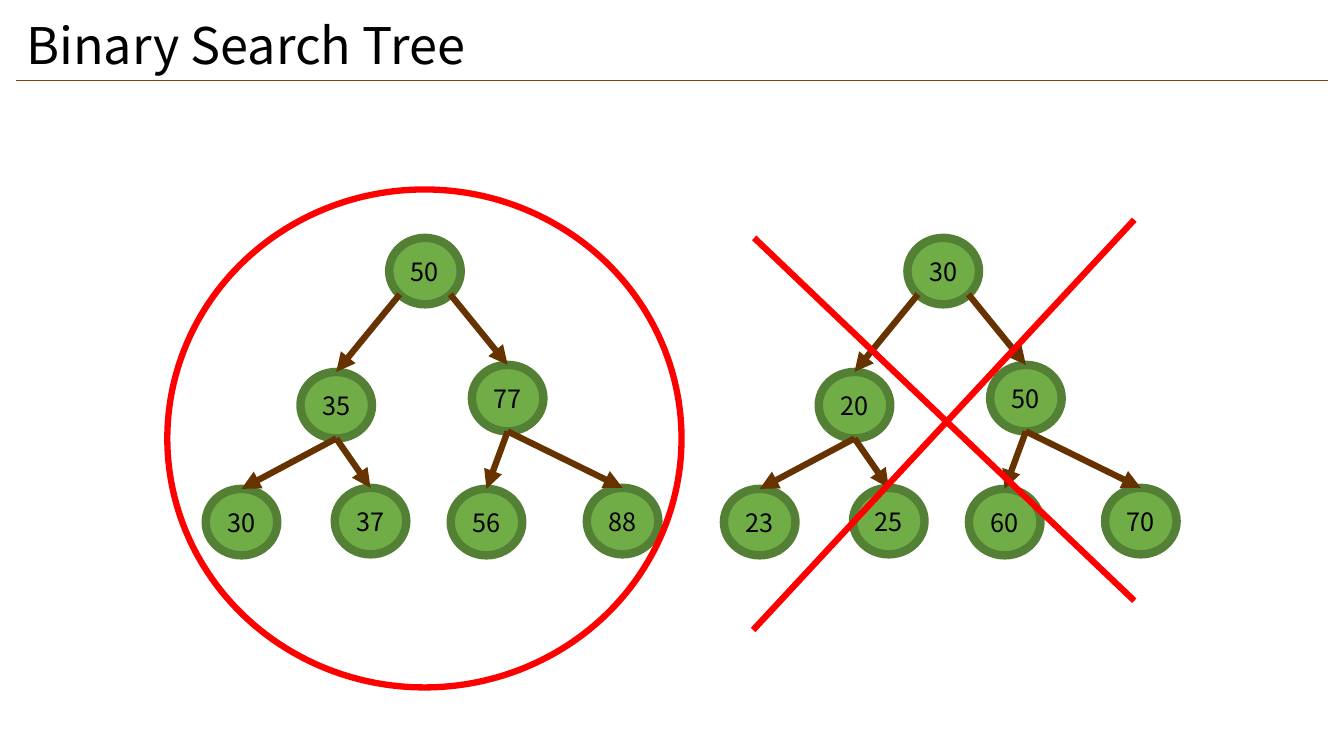
from pptx import Presentation
from pptx.dml.color import RGBColor
from pptx.enum import shapes, text
from pptx.oxml import ns
from pptx.util import Inches, Pt
from lxml import etree

FONT = "Noto Sans CJK KR"
COLORS = {
    "text": "000000",
    "rule": "843C0B",
    "node": "70AD47",
    "node_edge": "538035",
    "arrow": "663300",
    "mark": "FF0000",
}
NODE_WIDTH, NODE_HEIGHT = 0.71, 0.66
TREE_GAP = 5.14

# Left and top of each node in the first tree, level by level
NODE_PLACES = [
    (3.86, 2.36),
    (2.98, 3.69), (4.68, 3.62),
    (2.04, 4.85), (3.32, 4.84), (4.47, 4.85), (5.82, 4.84),
]
TREES = [
    ["50", "35", "77", "30", "37", "56", "88"],
    ["30", "20", "50", "23", "25", "60", "70"],
]


def style_text(paragraph, size):
    font = paragraph.runs[0].font
    font.name = FONT
    font.size = Pt(size)
    font.color.rgb = RGBColor.from_string(COLORS["text"])


def add_line(parent, start, end, color, width, arrow=False):
    """Draw a straight line between two points given in inches."""
    points = [Inches(value) for value in (*start, *end)]
    line = parent.shapes.add_connector(shapes.MSO_CONNECTOR.STRAIGHT, *points)
    line.line.color.rgb = RGBColor.from_string(COLORS[color])
    line.line.width = Pt(width)
    properties = line._element.spPr
    if arrow:
        outline = properties.find(ns.qn("a:ln"))
        etree.SubElement(outline, ns.qn("a:tailEnd"), type="triangle")
    etree.SubElement(properties, ns.qn("a:effectLst"))


presentation = Presentation()
presentation.slide_width = Inches(13.33)
presentation.slide_height = Inches(7.5)
slide = presentation.slides.add_slide(presentation.slide_layouts[6])

# Title and rule
add_line(slide, (0.16, 0.8), (13.17, 0.8), "rule", 0.5)
title = slide.shapes.add_textbox(Inches(0.16), Inches(0.09), Inches(13.02), Inches(0.71))
title.text_frame.word_wrap = True
title.text_frame.text = "Binary Search Tree"
style_text(title.text_frame.paragraphs[0], 36)

# Both trees share one layout
for tree_index, values in enumerate(TREES):
    tree = slide.shapes.add_group_shape()
    places = [(left + tree_index * TREE_GAP, top) for left, top in NODE_PLACES]

    for value, (left, top) in zip(values, places):
        node = tree.shapes.add_shape(
            shapes.MSO_SHAPE.OVAL,
            Inches(left), Inches(top), Inches(NODE_WIDTH), Inches(NODE_HEIGHT),
        )
        node.shadow.inherit = False
        node.fill.solid()
        node.fill.fore_color.rgb = RGBColor.from_string(COLORS["node"])
        node.line.color.rgb = RGBColor.from_string(COLORS["node_edge"])
        node.line.width = Pt(6)
        frame = node.text_frame
        frame.margin_left = frame.margin_right = 0
        frame.vertical_anchor = text.MSO_ANCHOR.MIDDLE
        frame.text = value
        frame.paragraphs[0].alignment = text.PP_ALIGN.CENTER
        style_text(frame.paragraphs[0], 18)

    # The root's arrows leave from its lower sides, the others from the bottom
    for child in range(1, len(places)):
        parent_index = (child - 1) // 2
        left, top = places[parent_index]
        start_x, start_y = left + NODE_WIDTH / 2, top + NODE_HEIGHT
        if parent_index == 0:
            start_x += -0.25 if child == 1 else 0.25
            start_y -= 0.1
        child_left, child_top = places[child]
        end = (child_left + NODE_WIDTH / 2, child_top)
        add_line(tree, (start_x, start_y), end, "arrow", 4.5, arrow=True)

# Circle around the valid tree
circle = slide.shapes.add_shape(
    shapes.MSO_SHAPE.OVAL, Inches(1.66), Inches(1.88), Inches(5.1), Inches(4.94)
)
circle.shadow.inherit = False
circle.fill.background()
circle.line.color.rgb = RGBColor.from_string(COLORS["mark"])
circle.line.width = Pt(4.5)

# Cross over the invalid tree
cross = slide.shapes.add_group_shape()
add_line(cross, (7.48, 2.36), (11.25, 5.96), "mark", 4.5)
add_line(cross, (11.25, 2.18), (7.47, 6.25), "mark", 4.5)

presentation.save("out.pptx")
